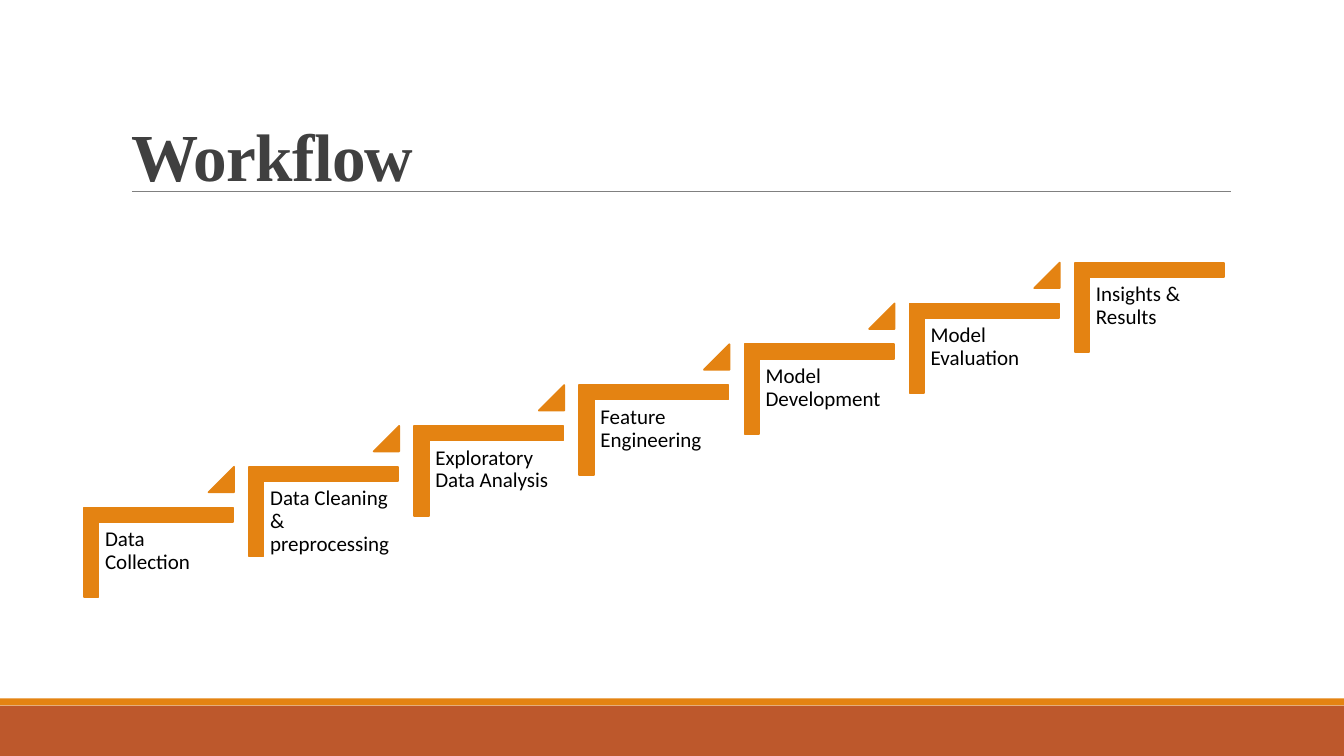
from lxml.etree import SubElement
from pptx import Presentation
from pptx.dml.color import RGBColor
from pptx.enum.shapes import MSO_CONNECTOR as Connector, MSO_SHAPE as Shape
from pptx.enum.text import MSO_ANCHOR as Anchor, MSO_AUTO_SIZE as AutoSize, PP_ALIGN as Align
from pptx.oxml.ns import qn
from pptx.util import Pt

ORANGE = RGBColor(0xE4, 0x83, 0x12)
RUST = RGBColor(0xBD, 0x58, 0x2C)
GREY = RGBColor(0x80, 0x80, 0x80)
CHARCOAL = RGBColor(0x40, 0x40, 0x40)
BLACK = RGBColor(0, 0, 0)

STAGES = [
    "Data Collection",
    "Data Cleaning & preprocessing",
    "Exploratory Data Analysis",
    "Feature Engineering",
    "Model Development",
    "Model Evaluation",
    "Insights & Results",
]
STEP_RIGHT = 117.96
STEP_UP = 29.16


class SlideBuilder:
    title_font = "Times New Roman"
    body_font = "Calibri"

    def __init__(self, slide):
        self.slide = slide
        self.shapes = slide.shapes

    def start_group(self):
        self.shapes = self.slide.shapes.add_group_shape().shapes

    def style_paragraph(self, paragraph, font_name, size, color, spacing, bold=False):
        paragraph.alignment = Align.LEFT
        paragraph.line_spacing = spacing
        font = paragraph.font
        font.name, font.size, font.bold = font_name, Pt(size), bold
        font.color.rgb = color

    def title(self, text, left, top, width, height):
        heading = self.slide.shapes.title
        heading.left, heading.top = Pt(left), Pt(top)
        heading.width, heading.height = Pt(width), Pt(height)
        frame = heading.text_frame
        frame.text = text
        frame.auto_size = AutoSize.NONE
        frame.vertical_anchor = Anchor.BOTTOM
        paragraph = frame.paragraphs[0]
        self.style_paragraph(paragraph, self.title_font, 48, CHARCOAL, 0.85, True)
        paragraph.runs[0]._r.get_or_add_rPr().set("spc", "-50")

    def solid(self, kind, left, top, width, height, color, outline=0, adjust=()):
        solid = self.shapes.add_shape(kind, Pt(left), Pt(top), Pt(width), Pt(height))
        solid.shadow.inherit = False
        solid.fill.solid()
        solid.fill.fore_color.rgb = color
        if outline:
            solid.line.color.rgb = color
            solid.line.width = Pt(outline)
        else:
            solid.line.fill.background()
        for index, value in enumerate(adjust):
            solid.adjustments[index] = value
        return solid

    def rule(self, left, right, y):
        rule = self.shapes.add_connector(
            Connector.STRAIGHT, Pt(left), Pt(y), Pt(right), Pt(y))
        rule.line.color.rgb = GREY
        rule.line.width = Pt(0.5)
        SubElement(rule._element.spPr, qn("a:effectLst"))

    def label(self, text, left, top, width, height):
        frame = self.shapes.add_textbox(
            Pt(left), Pt(top), Pt(width), Pt(height)).text_frame
        frame.word_wrap = True
        frame.margin_left = frame.margin_right = Pt(4.5)
        frame.margin_top = frame.margin_bottom = Pt(4.5)
        frame.text = text
        self.style_paragraph(frame.paragraphs[0], self.body_font, 15, BLACK, 0.9)


def main():
    deck = Presentation()
    deck.slide_width, deck.slide_height = Pt(960), Pt(540)
    builder = SlideBuilder(deck.slides.add_slide(deck.slide_layouts[5]))

    builder.solid(Shape.RECTANGLE, 0, 504, 960, 36, RUST)
    builder.solid(Shape.RECTANGLE, 0, 498.8, 960, 5.04, ORANGE)
    builder.rule(94.3, 879, 136.8)
    builder.title("Workflow", 86.4, 67, 792, 76.2)

    builder.start_group()
    for index, stage in enumerate(STAGES):
        right, up = index * STEP_RIGHT, index * STEP_UP
        step = builder.solid(Shape.CORNER, 81.2 + right, 341.3 - up, 64.1, 106.6,
                             ORANGE, 1.25, (0.161, 0.161))
        step.rotation = 90
        builder.label(stage, 70.5 + right, 373.1 - up, 96.3, 84.4)
        if index < len(STAGES) - 1:
            builder.solid(Shape.ISOSCELES_TRIANGLE, 149 + right, 333.4 - up, 18.2, 18.2,
                          ORANGE, 1.25, (1,))

    deck.save("out.pptx")


if __name__ == "__main__":
    main()
